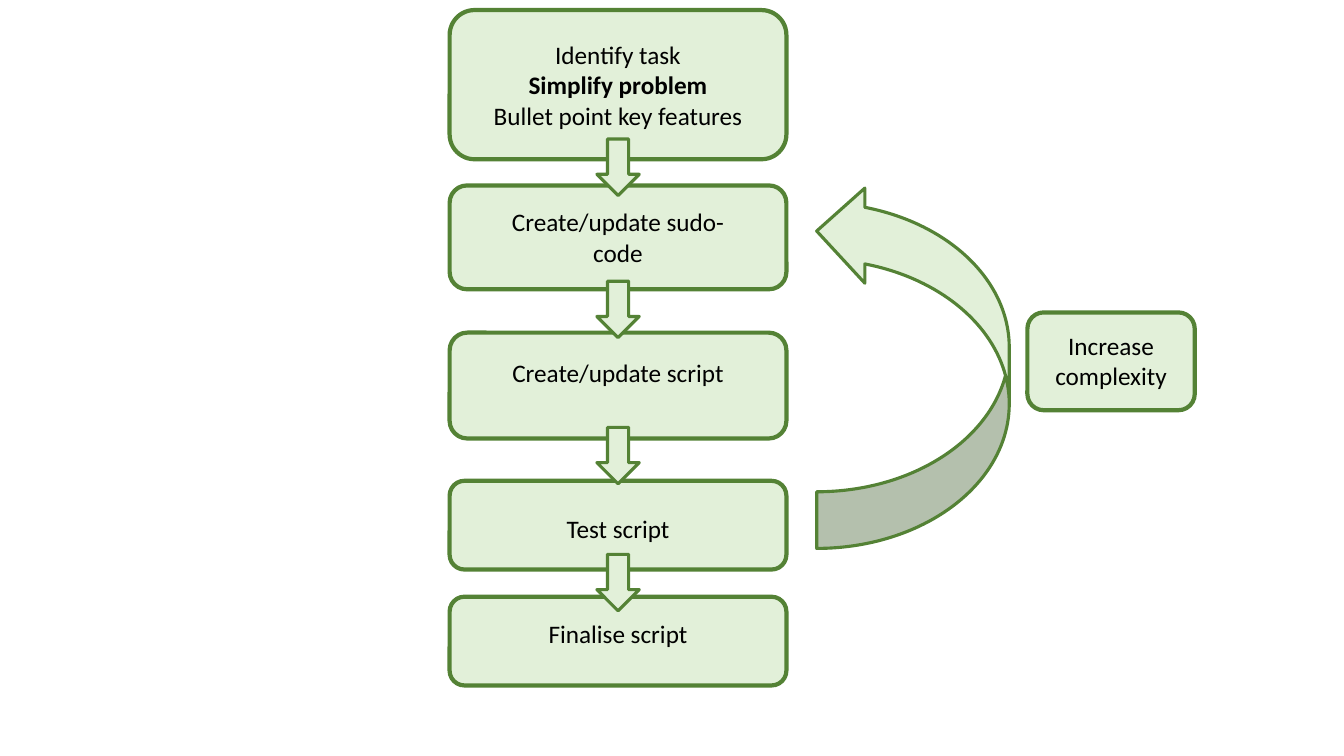
from dataclasses import dataclass

from pptx import Presentation
from pptx.dml.color import RGBColor
from pptx.enum.shapes import MSO_SHAPE
from pptx.enum.text import MSO_ANCHOR, PP_ALIGN
from pptx.util import Inches, Pt

ROUNDED = MSO_SHAPE.ROUNDED_RECTANGLE
DOWN_ARROW = MSO_SHAPE.DOWN_ARROW
CURVED_ARROW = MSO_SHAPE.CURVED_RIGHT_ARROW
TOP, CENTER = MSO_ANCHOR.TOP, PP_ALIGN.CENTER


@dataclass(frozen=True)
class Theme:
    fill: RGBColor = RGBColor(0xE2, 0xF0, 0xD9)
    line: RGBColor = RGBColor(0x54, 0x82, 0x35)
    text: RGBColor = RGBColor(0, 0, 0)
    font: str = "Calibri"
    size: Pt = Pt(18)
    box_line: Pt = Pt(3)
    arrow_line: Pt = Pt(2.25)


THEME = Theme()
BOLD_LINE = "Simplify problem"

# Top, height, text inset from the top, lines of text
STEPS = [
    (0, 1.48, 0.22, ["Identify task", BOLD_LINE, "Bullet point key features"]),
    (1.74, 1.03, 0.16, ["Create/update sudo-code"]),
    (3.2, 1.05, 0.19, ["Create/update script"]),
    (4.67, 0.88, 0.28, ["Test script"]),
    (5.82, 0.88, 0.17, ["Finalise script"]),
]
STEP_ARROW_TOPS = [1.28, 2.69, 4.14, 5.4]


def add_green_shape(slide, preset, left, top, width, height, line_width):
    shape = slide.shapes.add_shape(
        preset, Inches(left), Inches(top), Inches(width), Inches(height))
    shape.shadow.inherit = False
    shape.fill.solid()
    shape.fill.fore_color.rgb = THEME.fill
    shape.line.color.rgb = THEME.line
    shape.line.width = line_width
    return shape


def add_box(slide, left, top, width, height, lines, text_top, text_side):
    box = add_green_shape(slide, ROUNDED, left, top, width, height, THEME.box_line)
    frame = box.text_frame
    frame.word_wrap = True
    frame.vertical_anchor = TOP
    frame.margin_top = Inches(text_top)
    frame.margin_bottom = 0
    frame.margin_left = frame.margin_right = Inches(text_side)
    frame.text = "\n".join(lines)
    for paragraph in frame.paragraphs:
        paragraph.alignment = CENTER
        font = paragraph.font
        font.name, font.size = THEME.font, THEME.size
        font.color.rgb = THEME.text
        font.bold = paragraph.text == BOLD_LINE


def add_step_column(slide, left, top, width):
    for offset, height, text_top, lines in STEPS:
        side = 0.1 if len(lines) > 1 else 0.43
        add_box(slide, left, top + offset, width, height, lines, text_top, side)

    # Arrows bridging each gap, centred on the column
    arrow_width, arrow_height = 0.42, 0.56
    arrow_left = left + (width - arrow_width) / 2
    for offset in STEP_ARROW_TOPS:
        add_green_shape(slide, DOWN_ARROW, arrow_left, top + offset,
                        arrow_width, arrow_height, THEME.arrow_line)


def add_feedback_loop(slide, left, top, width, height):
    # Return arrow from testing back to the sudo-code
    loop = add_green_shape(slide, CURVED_ARROW, left, top, width, height,
                           THEME.arrow_line)
    loop.rotation = 180
    for index, value in enumerate((0.294, 0.494, 0.25)):
        loop.adjustments[index] = value

    # Label beside the bend
    add_box(slide, left + width + 0.18, top + 1.28, 1.66, 0.97,
            ["Increase complexity"], 0.13, 0.1)


prs = Presentation()
prs.slide_width, prs.slide_height = Inches(13.33), Inches(7.5)
slide = prs.slides.add_slide(prs.slide_layouts[6])

add_step_column(slide, 4.46, 0.1, 3.34)
add_feedback_loop(slide, 8.1, 1.82, 1.91, 3.62)

prs.save("out.pptx")
